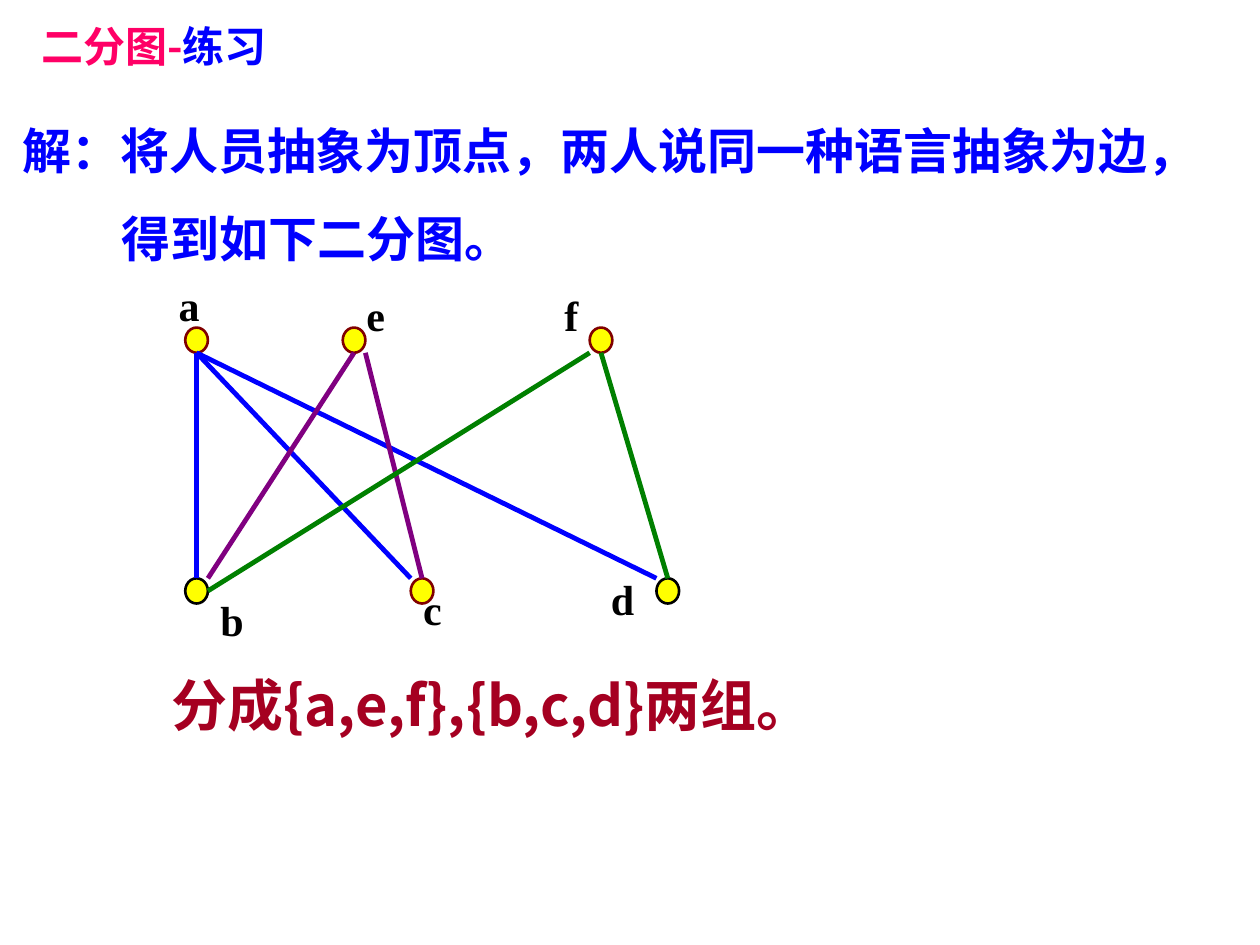
from lxml import etree
from pptx import Presentation
from pptx.dml.color import RGBColor
from pptx.enum.shapes import MSO_CONNECTOR, MSO_SHAPE
from pptx.oxml.ns import qn
from pptx.util import Inches, Pt

BLACK = RGBColor(0x00, 0x00, 0x00)
BLUE = RGBColor(0x00, 0x00, 0xFF)
PINK = RGBColor(0xFF, 0x00, 0x66)
CRIMSON = RGBColor(0xA5, 0x00, 0x21)
MAROON = RGBColor(0x80, 0x00, 0x00)
YELLOW = RGBColor(0xFF, 0xFF, 0x00)
PURPLE = RGBColor(0x80, 0x00, 0x80)
GREEN = RGBColor(0x00, 0x80, 0x00)

CHINESE = "Noto Sans CJK SC"
SERIF = "Times New Roman"

prs = Presentation()
prs.slide_width, prs.slide_height = Inches(10), Inches(7.5)
slide = prs.slides.add_slide(prs.slide_layouts[6])


def add_text(left, top, width, height, paragraphs, size, font=CHINESE):
    """Add a text box; each paragraph is a list of (text, colour) runs."""
    box = slide.shapes.add_textbox(Inches(left), Inches(top), Inches(width), Inches(height))
    frame = box.text_frame
    frame.word_wrap = True
    for index, runs in enumerate(paragraphs):
        paragraph = frame.paragraphs[0] if index == 0 else frame.add_paragraph()
        for text, colour in runs:
            run = paragraph.add_run()
            run.text = text
            run.font.size = Pt(size)
            run.font.bold = True
            run.font.name = font
            run.font.color.rgb = colour
            etree.SubElement(run.font._element, qn("a:ea"), typeface=font)
    return frame


add_text(0.23, 0.11, 3.27, 0.51, [[("二分图-", PINK), ("练习", BLUE)]], 24)
add_text(1.26, 5.27, 6.24, 0.64, [[("分成{a,e,f},{b,c,d}两组。", CRIMSON)]], 32)

# Vertices: name -> (left, top, outline)
UPPER, LOWER = 2.6, 4.59
NODE_W, NODE_H = 0.18, 0.2
vertices = {
    "a": (1.47, UPPER, MAROON),
    "e": (2.72, UPPER, MAROON),
    "f": (4.68, UPPER, MAROON),
    "c": (3.26, LOWER, MAROON),
    "b": (1.47, LOWER, BLACK),
    "d": (5.21, LOWER, BLACK),
}
for left, top, outline in vertices.values():
    node = slide.shapes.add_shape(
        MSO_SHAPE.OVAL, Inches(left), Inches(top), Inches(NODE_W), Inches(NODE_H))
    node.shadow.inherit = False
    node.fill.solid()
    node.fill.fore_color.rgb = YELLOW
    node.line.color.rgb = outline
    node.line.width = Pt(1.5)

labels = [
    ("a", 1.32, 2.17, 0.34, 0.52),
    ("e", 2.81, 2.25, 0.55, 0.52),
    ("f", 4.38, 2.25, 0.29, 0.52),
    ("b", 1.65, 4.67, 0.41, 0.6),
    ("c", 3.26, 4.58, 0.37, 0.6),
    ("d", 4.75, 4.5, 0.41, 0.6),
]
for name, left, top, width, height in labels:
    add_text(left, top, width, height, [[(name, BLACK)]], 24, SERIF)


def node_point(name, across, down):
    """Point at the given fractions of a vertex's width and height."""
    left, top, _ = vertices[name]
    return Inches(left + across * NODE_W), Inches(top + down * NODE_H)


# Edges: each end is (vertex, fraction across, fraction down)
edges = [
    (("a", 0.5, 1), ("b", 0.5, 0), BLUE),
    (("a", 0.5, 1), ("c", 0, 0), BLUE),
    (("a", 0.5, 1), ("d", 0, 0), BLUE),
    (("b", 1, 0), ("e", 0.5, 1), PURPLE),
    (("e", 1, 1), ("c", 0.5, 0), PURPLE),
    (("b", 1, 0.5), ("f", 0, 1), GREEN),
    (("f", 0.5, 1), ("d", 0.5, 0), GREEN),
]
for start, end, colour in edges:
    edge = slide.shapes.add_connector(
        MSO_CONNECTOR.STRAIGHT, *node_point(*start), *node_point(*end))
    edge.line.color.rgb = colour
    edge.line.width = Pt(2.75)
    etree.SubElement(edge._element.spPr, qn("a:effectLst"))

solution = add_text(0.08, 0.67, 9.63, 1.51, [
    [("解：将人员抽象为顶点，两人说同一种语言抽象为边，", BLUE)],
    [("得到如下二分图。", BLUE)],
], 28)
for paragraph in solution.paragraphs:
    paragraph.line_spacing = 1.5
solution.paragraphs[1]._p.get_or_add_pPr().set("marL", str(Inches(0.79)))

prs.save("out.pptx")
